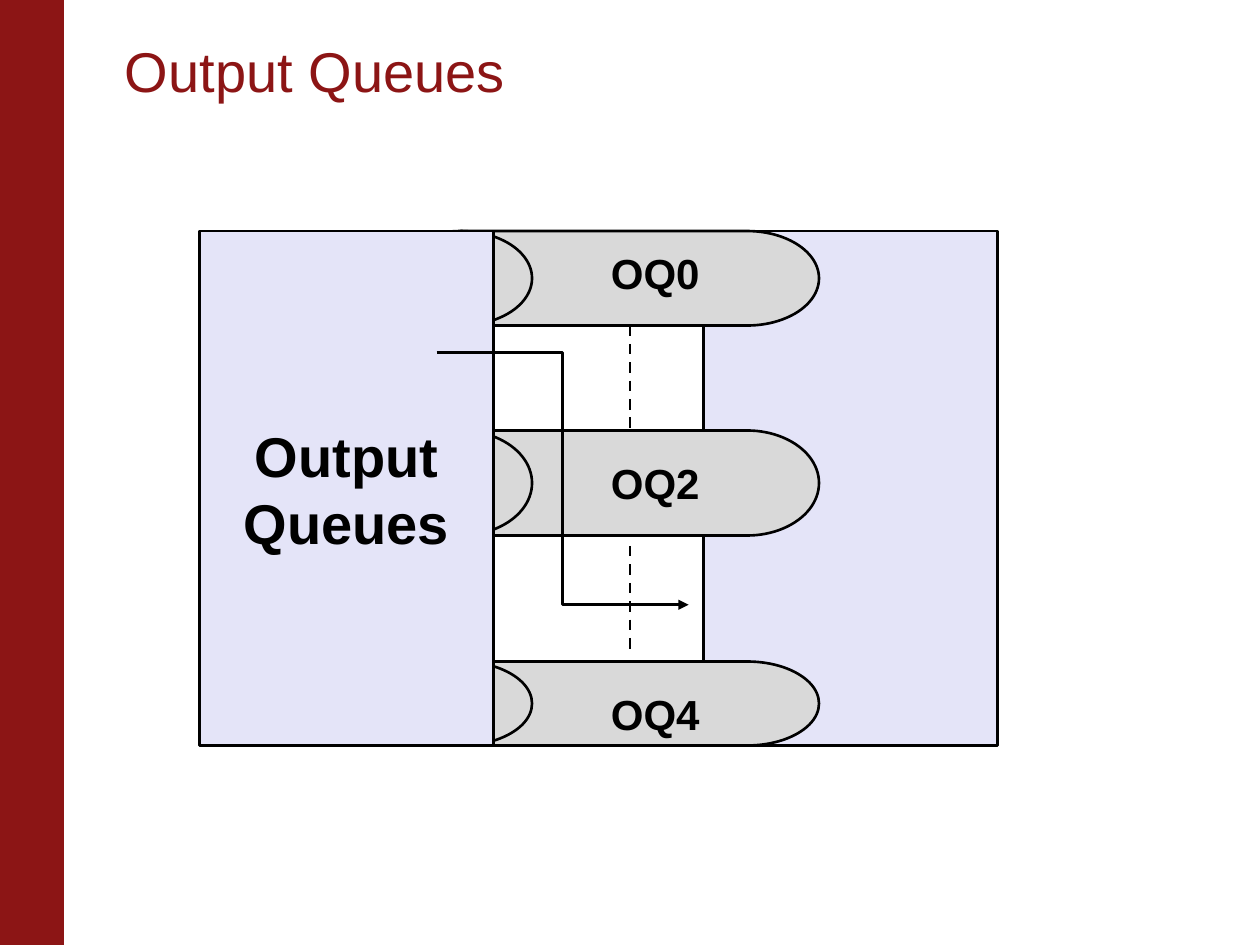
from dataclasses import dataclass

from pptx import Presentation
from pptx.dml.color import RGBColor
from pptx.enum.dml import MSO_LINE
from pptx.enum.shapes import MSO_CONNECTOR, MSO_SHAPE
from pptx.enum.text import MSO_ANCHOR, MSO_AUTO_SIZE, PP_ALIGN
from pptx.oxml.ns import qn
from pptx.util import Inches, Pt
from lxml.etree import SubElement


@dataclass(frozen=True)
class Theme:
    font: str = "Arial"
    accent: str = "8C1515"
    block: str = "E4E4F8"
    queue: str = "D9D9D9"
    ink: str = "000000"
    heading_size: int = 32
    label_size: int = 24
    outline: float = 1.5


THEME = Theme()
COLUMNS, ROWS = 120, 90  # twelve grid cells to the inch
BLOCK_TOP, BLOCK_WIDTH, BLOCK_HEIGHT = 22, 28, 49
QUEUE_LEFT, QUEUE_WIDTH = 37, 41
LABEL_LEFT = 57
GAP_COLUMN = 60


def cells(*counts):
    """Turn counts of grid cells into lengths."""
    return [Inches(count / 12) for count in counts]


def rgb(code):
    return RGBColor.from_string(code)


def write(shape, text, size, color, bold=True):
    frame = shape.text_frame
    frame.text = text
    font = frame.paragraphs[0].runs[0].font
    font.name, font.size, font.bold = THEME.font, Pt(size), bold
    font.color.rgb = rgb(color)
    return frame


def add_panel(slide, preset, area, fill, line=THEME.ink, width=THEME.outline):
    panel = slide.shapes.add_shape(preset, *cells(*area))
    panel.shadow.inherit = False
    panel.fill.solid()
    panel.fill.fore_color.rgb = rgb(fill)
    panel.line.color.rgb = rgb(line)
    panel.line.width = Pt(width)
    return panel


def add_block(slide, left):
    area = (left, BLOCK_TOP, BLOCK_WIDTH, BLOCK_HEIGHT)
    return add_panel(slide, MSO_SHAPE.RECTANGLE, area, THEME.block)


def add_queue(slide, top, height):
    area = (QUEUE_LEFT, top, QUEUE_WIDTH, height)
    drum = add_panel(slide, MSO_SHAPE.FLOWCHART_DIRECT_ACCESS_STORAGE, area, THEME.queue)
    drum.rotation = 180


def add_title(slide, text):
    title = slide.shapes.add_textbox(*cells(11.9, 2, 101.2, 8.5))
    frame = write(title, text, THEME.heading_size, THEME.accent, bold=False)
    frame.word_wrap = True
    frame.vertical_anchor = MSO_ANCHOR.BOTTOM
    frame.margin_left = 0
    frame.paragraphs[0].line_spacing = 0.85


def label_block(block, text):
    frame = write(block, text, THEME.heading_size, THEME.ink)
    frame.word_wrap = True
    frame.vertical_anchor = MSO_ANCHOR.MIDDLE
    frame.margin_left = frame.margin_right = Inches(0.3)
    frame.paragraphs[0].alignment = PP_ALIGN.CENTER


def add_queue_label(slide, text, top):
    label = slide.shapes.add_textbox(*cells(LABEL_LEFT, top, 10.9, 6.1))
    frame = write(label, text, THEME.label_size, THEME.ink)
    frame.word_wrap = False
    frame.auto_size = MSO_AUTO_SIZE.SHAPE_TO_FIT_TEXT


def add_link(slide, kind, start, end):
    link = slide.shapes.add_connector(kind, *cells(*start, *end))
    link.line.color.rgb = rgb(THEME.ink)
    link.line.width = Pt(THEME.outline)
    SubElement(link._element.spPr, qn("a:effectLst"))
    return link


def add_gap_line(slide, top, bottom):
    """Stand in for the queues that are not drawn."""
    gap = add_link(slide, MSO_CONNECTOR.STRAIGHT, (GAP_COLUMN, top), (GAP_COLUMN, bottom))
    gap.line.dash_style = MSO_LINE.DASH


def add_packet_route(slide, start, end):
    route = add_link(slide, MSO_CONNECTOR.ELBOW, start, end)
    SubElement(route.line._get_or_add_ln(), qn("a:tailEnd"), type="triangle")


def main():
    deck = Presentation()
    deck.slide_width, deck.slide_height = cells(COLUMNS, ROWS)
    slide = deck.slides.add_slide(deck.slide_layouts[6])

    add_panel(slide, MSO_SHAPE.RECTANGLE, (0, 0, 6, ROWS), THEME.accent, THEME.accent, 0.75)
    add_title(slide, "Output Queues")

    queues = [("OQ0", 22, 9, 23), ("OQ2", 41, 10, 43), ("OQ4", 63, 8, 65)]
    add_block(slide, left=67)
    for _, top, height, _ in queues:
        add_queue(slide, top, height)
    label_block(add_block(slide, left=19), "Output Queues")
    for name, _, _, label_top in queues:
        add_queue_label(slide, name, label_top)

    add_gap_line(slide, 31, 41)
    add_gap_line(slide, 52, 62)
    add_packet_route(slide, (41.6, 33.6), (65.6, 57.6))
    deck.save("out.pptx")


if __name__ == "__main__":
    main()
